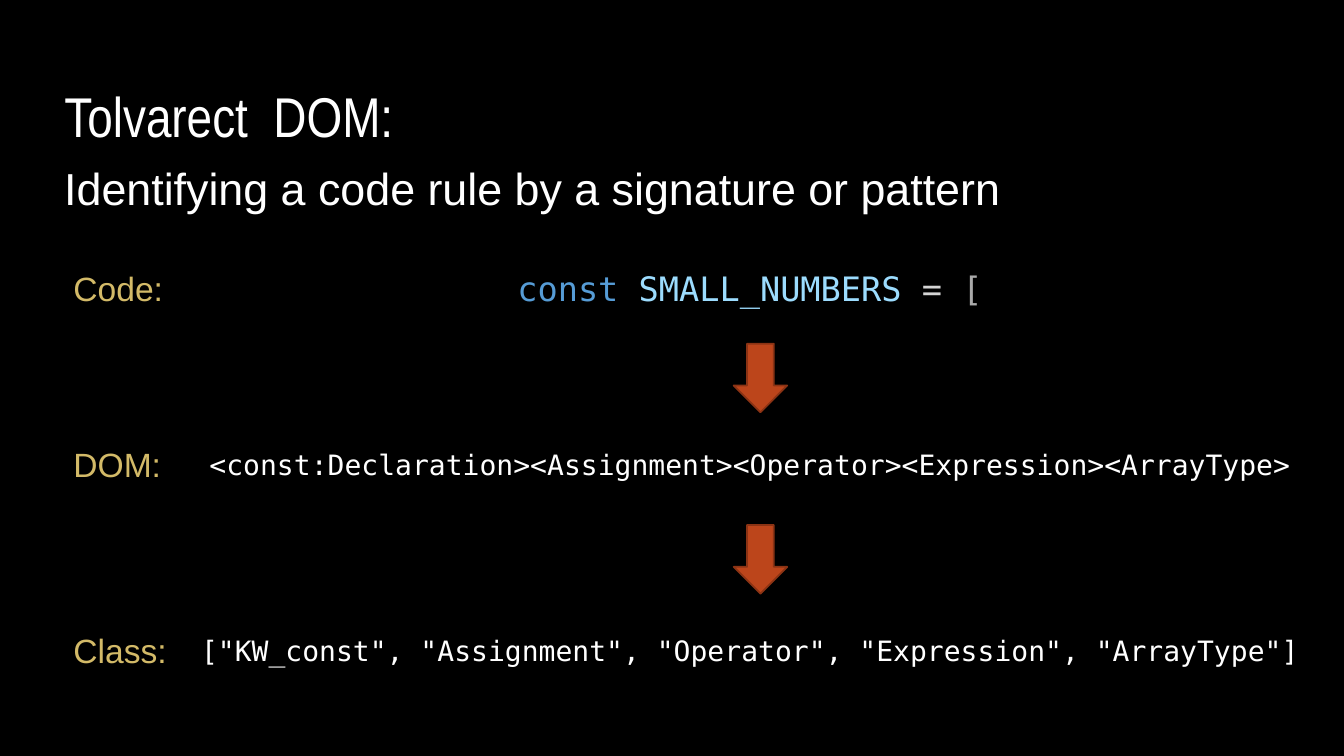
from pptx import Presentation
from pptx.dml.color import RGBColor
from pptx.enum import shapes, text
from pptx.util import Cm, Pt

BLACK = RGBColor(0x00, 0x00, 0x00)
WHITE = RGBColor(0xFF, 0xFF, 0xFF)
GOLD = RGBColor(0xD3, 0xBA, 0x68)
RUST = RGBColor(0xBC, 0x45, 0x1B)
BROWN = RGBColor(0x8B, 0x33, 0x14)
BLUE = RGBColor(0x56, 0x9C, 0xD6)
SKY = RGBColor(0x9C, 0xDC, 0xFE)
PALE = RGBColor(0xD4, 0xD4, 0xD4)
GRAY = RGBColor(0xAA, 0xAA, 0xAA)
SANS, NARROW, MONO = "Arial", "Arial Narrow", "DejaVu Sans Mono"

TITLE = "Tolvarect  DOM:"
LEAD = "Identifying a code rule by a signature or pattern"
# label, centre height in cm, code size, coloured pieces of code
ROWS = [
    ("Code:", 7.25, 24, [("const ", BLUE), ("SMALL_NUMBERS ", SKY),
                         ("=", PALE), (" [", GRAY)]),
    ("DOM:", 11.7, 20, [("<const:Declaration><Assignment><Operator>"
                         "<Expression><ArrayType>", WHITE)]),
    ("Class:", 16.39, 20, [('["KW_const", "Assignment", "Operator", '
                            '"Expression", "ArrayType"]', WHITE)]),
]
ARROWS = [8.66, 13.23]  # tops in cm
ROW_H = 1.3


def write(shape, parts, size, font, align=text.PP_ALIGN.LEFT):
    """Fill a shape with one paragraph of (words, colour) parts."""
    frame = shape.text_frame
    frame.word_wrap = True
    frame.auto_size = text.MSO_AUTO_SIZE.NONE
    frame.vertical_anchor = text.MSO_ANCHOR.MIDDLE
    para = frame.paragraphs[0]
    para.alignment = align
    para.font.size, para.font.name = Pt(size), font
    for words, color in parts:
        run = para.add_run()
        run.text = words
        run.font.color.rgb = color


def add_box(slide, left, top, width, height):
    return slide.shapes.add_textbox(Cm(left), Cm(top), Cm(width), Cm(height))


def add_arrow(slide, top):
    arrow = slide.shapes.add_shape(shapes.MSO_SHAPE.DOWN_ARROW,
                                   Cm(18.49), Cm(top), Cm(1.35), Cm(1.73))
    arrow.shadow.inherit = False
    arrow.fill.solid()
    arrow.fill.fore_color.rgb = RUST
    arrow.line.color.rgb = BROWN
    arrow.line.width = Pt(1.25)


def main():
    deck = Presentation()
    deck.slide_width, deck.slide_height = Cm(33.87), Cm(19.05)
    slide = deck.slides.add_slide(deck.slide_layouts[5])
    slide.background.fill.solid()
    slide.background.fill.fore_color.rgb = BLACK

    title = slide.shapes.title
    title.left, title.top = Cm(1.37), Cm(1.93)
    title.width, title.height = Cm(17.68), Cm(1.96)
    write(title, [(TITLE, WHITE)], 40, NARROW)
    write(add_box(slide, 1.37, 3.92, 24.3, 1.63), [(LEAD, WHITE)], 32, SANS)

    for label, mid, size, code in ROWS:
        top = mid - ROW_H / 2
        write(add_box(slide, 1.6, top, 3.05, ROW_H), [(label, GOLD)], 24, SANS)
        write(add_box(slide, 4.32, top, 29.16, ROW_H), code, size, MONO,
              text.PP_ALIGN.CENTER)
    for top in ARROWS:
        add_arrow(slide, top)
    deck.save("out.pptx")


if __name__ == "__main__":
    main()
